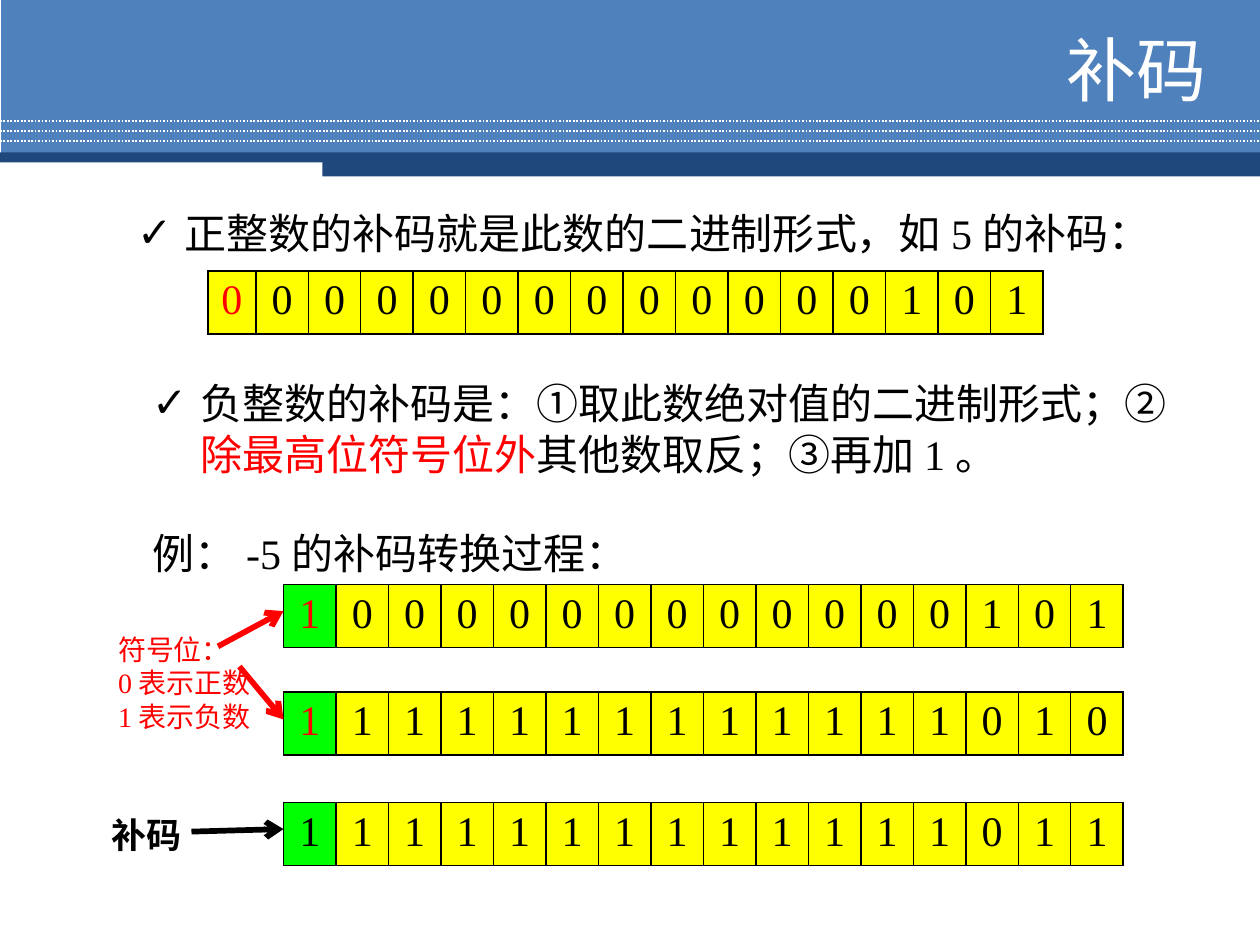
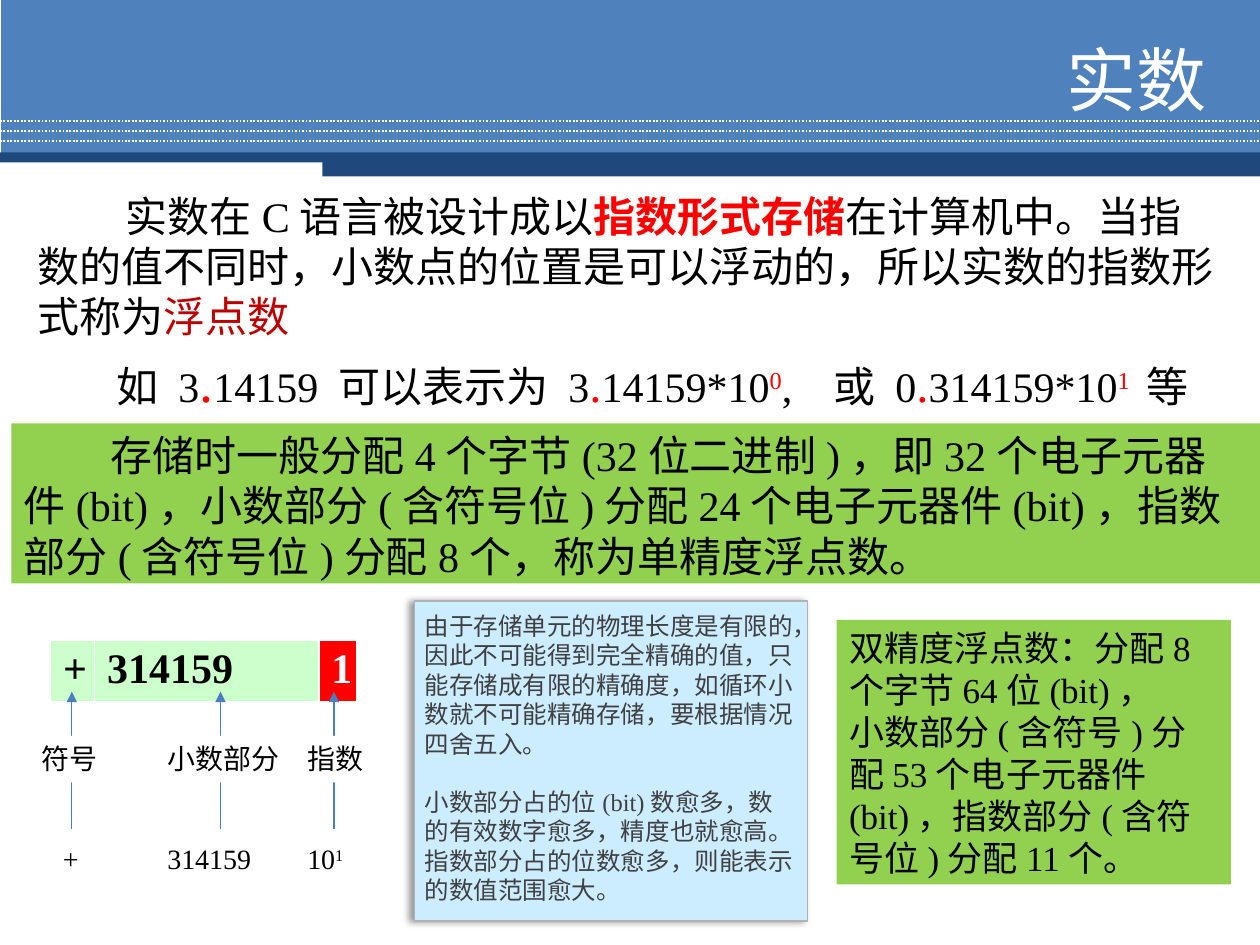
from lxml import etree
from pptx import Presentation
from pptx.dml.color import RGBColor
from pptx.enum.dml import MSO_LINE
from pptx.enum.shapes import MSO_CONNECTOR, MSO_SHAPE
from pptx.enum.text import MSO_ANCHOR, PP_ALIGN
from pptx.oxml.ns import qn
from pptx.util import Inches, Pt

RECTANGLE = MSO_SHAPE.RECTANGLE
STRAIGHT = MSO_CONNECTOR.STRAIGHT
DOTTED = MSO_LINE.ROUND_DOT
LEFT, CENTER, RIGHT = PP_ALIGN.LEFT, PP_ALIGN.CENTER, PP_ALIGN.RIGHT
TOP, MIDDLE = MSO_ANCHOR.TOP, MSO_ANCHOR.MIDDLE

BLACK = RGBColor(0x00, 0x00, 0x00)
WHITE = RGBColor(0xFF, 0xFF, 0xFF)
RED = RGBColor(0xFF, 0x00, 0x00)
DARK_RED = RGBColor(0xC0, 0x00, 0x00)
YELLOW = RGBColor(0xFF, 0xFF, 0x00)
SIGN_GREEN = RGBColor(0x00, 0xFF, 0x00)
PALE_GREEN = RGBColor(0xCC, 0xFF, 0xCC)
PANEL_GREEN = RGBColor(0x92, 0xD0, 0x50)
NOTE_BLUE = RGBColor(0xCC, 0xEC, 0xFF)
NOTE_BORDER = RGBColor(0xB2, 0xB2, 0xB2)
NOTE_TEXT = RGBColor(0x40, 0x40, 0x40)
HEADER_BLUE = RGBColor(0x4F, 0x81, 0xBD)
BAND_NAVY = RGBColor(0x1F, 0x49, 0x7D)
POINTER_BLUE = RGBColor(0x4B, 0x7E, 0xBC)

SERIF = "Times New Roman"
SANS = "Arial"
BIT_WIDTH = 5 / 12


def write_text(frame, text, size=24, color=BLACK, font=SERIF, bold=False,
               align=LEFT, anchor=TOP, inset=(0.1, 0.05), first_indent=0,
               bullets=0, gap=0):
    frame.word_wrap = True
    frame.vertical_anchor = anchor
    frame.margin_left = frame.margin_right = Inches(inset[0])
    frame.margin_top = frame.margin_bottom = Inches(inset[1])
    paragraphs = [text] if isinstance(text, str) else text
    for index, runs in enumerate(paragraphs):
        paragraph = frame.paragraphs[0] if index == 0 else frame.add_paragraph()
        paragraph.alignment = align
        if index and gap:
            paragraph.space_before = Pt(gap)
        properties = paragraph._p.get_or_add_pPr()
        if index < bullets:
            properties.set("marL", str(Inches(0.38)))
            properties.set("indent", str(Inches(-0.38)))
            etree.SubElement(properties, qn("a:buFont"), typeface=SANS)
            etree.SubElement(properties, qn("a:buChar"), char="✓")
        elif first_indent:
            properties.set("marL", "0")
            properties.set("indent", str(Inches(first_indent)))
        for content, changes in [(runs, {})] if isinstance(runs, str) else runs:
            run = paragraph.add_run()
            run.text = content
            run.font.name = font
            run.font.size = Pt(changes.get("size", size))
            run.font.bold = changes.get("bold", bold)
            run.font.color.rgb = changes.get("color", color)
            if changes.get("raised"):
                run.font._element.set("baseline", "30000")
            if "spacing" in changes:
                run.font._element.set("spc", str(changes["spacing"] * 100))


def add_line(slide, start, end, color, width, arrow=None):
    line = slide.shapes.add_connector(STRAIGHT, *map(Inches, (*start, *end)))
    line.line.color.rgb = color
    line.line.width = Pt(width)
    if arrow:
        etree.SubElement(line.line._get_or_add_ln(), qn("a:tailEnd"), type=arrow)
    etree.SubElement(line._element.spPr, qn("a:effectLst"))
    return line


presentation = Presentation()
presentation.slide_width = Inches(10)
presentation.slide_height = Inches(7.5)

slides = []
for title, title_top in [("补码", 0.25), ("实数", 0.33)]:
    slide = presentation.slides.add_slide(presentation.slide_layouts[6])
    slides.append(slide)
    for position, color in [
        ((0.01, 0, 9.99, 1.23), HEADER_BLUE),
        ((0, 1.21, 10, 0.08), BAND_NAVY),
        ((2.56, 1.24, 7.44, 0.16), BAND_NAVY),
    ]:
        band = slide.shapes.add_shape(RECTANGLE, *map(Inches, position))
        band.shadow.inherit = False
        band.fill.solid()
        band.fill.fore_color.rgb = color
        band.line.fill.background()
    for y in (0.96, 1.04, 1.12):
        add_line(slide, (0, y), (10, y), WHITE, 1).line.dash_style = DOTTED
    title_box = slide.shapes.add_textbox(*map(Inches, (2.75, title_top, 6.92, 0.58)))
    write_text(title_box.text_frame, title, size=40, color=WHITE, font=SANS,
               align=RIGHT, anchor=MIDDLE)
complement_slide, real_slide = slides

bit_rows = [
    (1.65, 2.15, 0.38, 0.48, "0000000000000101", YELLOW, RED),
    (2.25, 4.64, BIT_WIDTH, 0.5, "1000000000000101", SIGN_GREEN, RED),
    (2.25, 5.49, BIT_WIDTH, 0.5, "1111111111111010", SIGN_GREEN, RED),
    (2.25, 6.37, BIT_WIDTH, 0.5, "1111111111111011", SIGN_GREEN, BLACK),
]
bit_format = {"align": CENTER, "inset": (0.07, 0.05)}
tables = []
for left, top, sign_width, height, bits, sign_fill, sign_color in bit_rows:
    cells = [(sign_width, bits[0], sign_fill, sign_color)]
    cells += [(BIT_WIDTH, bit, YELLOW, BLACK) for bit in bits[1:]]
    tables.append((complement_slide, left, top, height, cells, BLACK, 1, bit_format))
real_cells = [
    (0.35, "+", PALE_GREEN, BLACK),
    (1.78, "314159", PALE_GREEN, BLACK),
    (0.3, "1", RED, WHITE),
]
tables.append((real_slide, 0.4, 5.08, 0.48, real_cells, WHITE, 3, {"bold": True}))

for slide, left, top, height, cells, border_color, bottom_width, text_format in tables:
    total_width = sum(cell[0] for cell in cells)
    table = slide.shapes.add_table(
        1, len(cells), *map(Inches, (left, top, total_width, height))).table
    table.first_row = table.horz_banding = False
    for column, (width, text, fill, color) in enumerate(cells):
        table.columns[column].width = Inches(width)
        cell = table.cell(0, column)
        properties = cell._tc.get_or_add_tcPr()
        for side in "LRTB":
            border_width = bottom_width if side == "B" else 1
            border = etree.SubElement(properties, qn(f"a:ln{side}"), w=str(Pt(border_width)))
            border_fill = etree.SubElement(border, qn("a:solidFill"))
            etree.SubElement(border_fill, qn("a:srgbClr"), val=str(border_color))
        cell.fill.solid()
        cell.fill.fore_color.rgb = fill
        write_text(cell.text_frame, text, color=color, **text_format)
        inset_x, inset_y = text_format.get("inset", (0.1, 0.05))
        cell.margin_left = cell.margin_right = Inches(inset_x)
        cell.margin_top = cell.margin_bottom = Inches(inset_y)

for start, end, color in [
    ((1.73, 5.13), (2.25, 4.85), RED),
    ((1.9, 5.29), (2.25, 5.71), RED),
    ((1.52, 6.6), (2.25, 6.58), BLACK),
]:
    add_line(complement_slide, start, end, color, 3.25, "arrow")

red = {"color": RED}
red_point = {"color": RED, "size": 28}
exponent = {"color": RED, "raised": True}
text_boxes = [
    (complement_slide, (0.99, 1.6, 8.16, 0.5), None,
     ["正整数的补码就是此数的二进制形式，如5的补码："], {"bullets": 1}),
    (complement_slide, (1.11, 2.95, 8.27, 1.66), None,
     [[("负整数的补码是：①取此数绝对值的二进制形式；②", {}),
       ("除最高位符号位外", red),
       ("其他数取反；③再加1。", {})],
      "例：-5的补码转换过程："], {"bullets": 1, "gap": 28}),
    (complement_slide, (0.84, 4.97, 1.34, 0.91), None,
     ["符号位：", "0表示正数", "1表示负数"], {"size": 16, "color": RED}),
    (complement_slide, (0.79, 6.41, 0.82, 0.44), None,
     "补码", {"size": 20, "bold": True}),
    (real_slide, (0.83, 2.7, 8.96, 0.64), None,
     [[("如 3", {}), (".", {"color": RED, "size": 32}),
       ("14159 可以表示为 3", {}), (".", red_point),
       ("14159*10", {}), ("0", exponent),
       (",", {}), (" ", {"spacing": 12}), ("或 0", {}), (".", red_point),
       ("314159*10", {}), ("1 ", exponent), ("等", {})]], {}),
    (real_slide, (0.2, 1.46, 9.57, 1.33), None,
     [[("实数在C语言被设计成以", {}),
       ("指数形式存储", {"color": RED, "bold": True}),
       ("在计算机中。当指数的值不同时，小数点的位置是可以浮动的，"
        "所以实数的指数形式称为", {}),
       ("浮点数", {"color": DARK_RED})]], {"first_indent": 0.7}),
    (real_slide, (0.09, 3.36, 9.91, 1.27), PANEL_GREEN,
     "存储时一般分配4个字节(32位二进制)，即32个电子元器件(bit)，"
     "小数部分(含符号位)分配24个电子元器件(bit)，"
     "指数部分(含符号位)分配8个，称为单精度浮点数。", {"first_indent": 0.69}),
    (real_slide, (6.64, 4.92, 3.13, 2.1), PANEL_GREEN,
     ["双精度浮点数：分配8个字节64位(bit)，",
      "小数部分(含符号)分配53个电子元器件(bit)，指数部分(含符号位)分配11个。"],
     {"size": 20}),
]
number_parts = [
    (0.57, 0.23, 0.65, "符号", 0.4, "+"),
    (1.75, 1.23, 1.1, "小数部分", 1.23, "314159"),
    (2.65, 2.34, 0.65, "指数", 2.34, [[("10", {}), ("1", {"raised": True})]]),
]
for arrow_x, label_left, width, label, value_left, value in number_parts:
    add_line(real_slide, (arrow_x, 6.58), (arrow_x, 5.49), POINTER_BLUE, 0.75, "triangle")
    for left, top, text in [(label_left, 5.84, label), (value_left, 6.63, value)]:
        text_boxes.append((real_slide, (left, top, width, 0.37), WHITE, text, {"size": 16}))

for slide, position, fill, text, text_format in text_boxes:
    box = slide.shapes.add_textbox(*map(Inches, position))
    if fill is not None:
        box.fill.solid()
        box.fill.fore_color.rgb = fill
    write_text(box.text_frame, text, **text_format)

note = real_slide.shapes.add_shape(RECTANGLE, *map(Inches, (3.29, 4.77, 3.12, 2.54)))
note.fill.solid()
note.fill.fore_color.rgb = NOTE_BLUE
note.line.color.rgb = NOTE_BORDER
note.line.width = Pt(0.75)
note.shadow.inherit = False
shadow = etree.SubElement(
    note._element.spPr.find(qn("a:effectLst")), qn("a:outerShdw"),
    blurRad=str(Pt(4)), dist=str(Pt(3)), dir="10800000", algn="r", rotWithShape="0")
shadow_color = etree.SubElement(shadow, qn("a:srgbClr"), val=str(BLACK))
etree.SubElement(shadow_color, qn("a:alpha"), val="40000")
write_text(note.text_frame, [
    "由于存储单元的物理长度是有限的，因此不可能得到完全精确的值，只能存储成有限的精确度，"
    "如循环小数就不可能精确存储，要根据情况四舍五入。",
    "小数部分占的位(bit)数愈多，数的有效数字愈多，精度也就愈高。"
    "指数部分占的位数愈多，则能表示的数值范围愈大。",
], size=14, color=NOTE_TEXT, inset=(0.08, 0.08), gap=16.5)

presentation.save("out.pptx")
